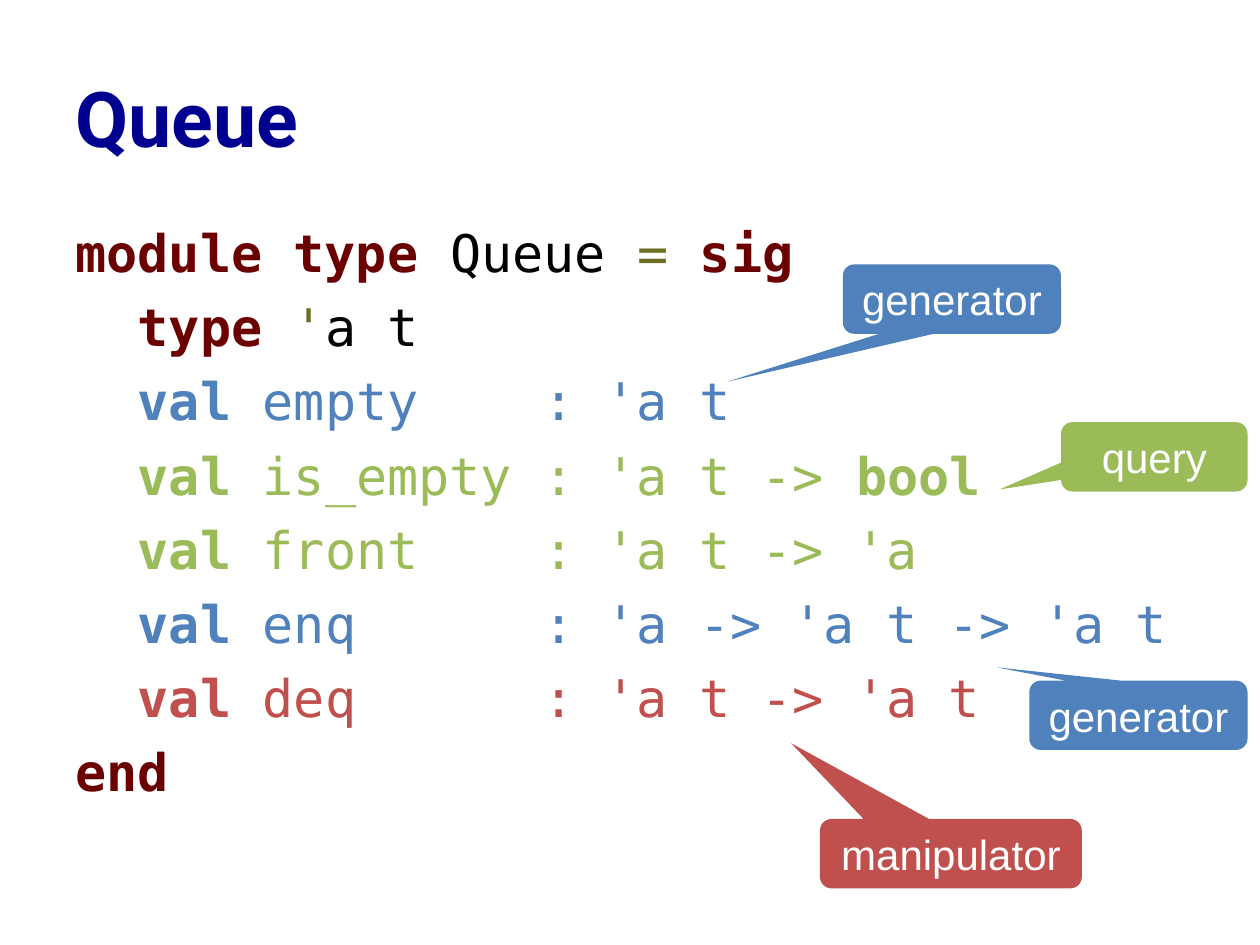
"""Build the Queue signature slide with its labelled callouts."""
from dataclasses import dataclass
from typing import NamedTuple

from pptx import Presentation
from pptx import util as u
from pptx.dml.color import RGBColor
from pptx.enum import shapes, text


@dataclass(frozen=True)
class Theme:
    navy: str = "000090"
    keyword: str = "6B0001"
    symbol: str = "6D6F24"
    black: str = "000000"
    white: str = "FFFFFF"
    generator: str = "4F81BD"
    query: str = "9BBB59"
    manipulator: str = "C0504D"
    title_font: str = "Roboto"
    code_font: str = "DejaVu Sans Mono"
    label_font: str = "Arial"
    title_size: float = 44
    code_size: float = 29.6
    label_size: float = 24
    code_gap: float = 6.9


class Run(NamedTuple):
    text: str
    color: str
    bold: bool = False


class Callout(NamedTuple):
    label: str
    color: str
    left: float
    top: float
    width: float
    tip_x: float
    tip_y: float


T = Theme()
CALLOUT_HEIGHT = 1.4


def value(name: str, signature: str, color: str, result: str = "") -> list[Run]:
    """Return the runs of one val declaration."""
    runs = [Run("  val ", color, True), Run(f"{name:<8} : {signature}", color)]
    return runs + [Run(result, color, True)] if result else runs


CODE = [
    [Run("module type", T.keyword, True), Run(" Queue ", T.black),
     Run("= ", T.symbol), Run("sig", T.keyword, True)],
    [Run("  type ", T.keyword, True), Run("'", T.symbol), Run("a t", T.black)],
    value("empty", "'a t", T.generator),
    value("is_empty", "'a t -> ", T.query, "bool"),
    value("front", "'a t -> 'a", T.query),
    value("enq", "'a -> 'a t -> 'a t", T.generator),
    value("deq", "'a t -> 'a t", T.manipulator),
    [Run("end", T.keyword, True)],
]

CALLOUTS = [
    Callout("generator", T.generator, 16.99, 5.33, 4.4, -1.03, 1.19),
    Callout("manipulator", T.manipulator, 16.53, 16.51, 5.28, -0.61, -1.59),
    Callout("query", T.query, 21.39, 8.51, 3.76, -0.83, 0.47),
    Callout("generator", T.generator, 20.75, 13.72, 4.4, -0.65, -0.69),
]


def add_run(p, run: Run, font: str, size: float) -> None:
    """Append one formatted run to a paragraph."""
    r = p.add_run()
    r.text = run.text
    r.font.name = font
    r.font.size = u.Pt(size)
    r.font.bold = run.bold
    r.font.color.rgb = RGBColor.from_string(run.color)


def add_title(s) -> None:
    """Place and fill the title placeholder."""
    sp = s.shapes.title
    sp.left, sp.top, sp.width, sp.height = map(u.Cm, (1.27, 0.76, 22.86, 3.18))
    tf = sp.text_frame
    tf.vertical_anchor = text.MSO_ANCHOR.MIDDLE
    p = tf.paragraphs[0]
    p.alignment = text.PP_ALIGN.LEFT
    add_run(p, Run("Queue", T.navy, True), T.title_font, T.title_size)


def add_code(s) -> None:
    """Add the module signature, one paragraph per line."""
    sp = s.shapes.add_textbox(*map(u.Cm, (1.27, 4.45, 23.65, 12.57)))
    tf = sp.text_frame
    tf.word_wrap = True
    tf.margin_top = 0
    for i, line in enumerate(CODE):
        p = tf.add_paragraph() if i else tf.paragraphs[0]
        p.space_before = u.Pt(T.code_gap)
        for run in line:
            add_run(p, run, T.code_font, T.code_size)


def add_callout(s, c: Callout) -> None:
    """Add one rounded callout with a centred label."""
    sp = s.shapes.add_shape(
        shapes.MSO_SHAPE.ROUNDED_RECTANGULAR_CALLOUT,
        *map(u.Cm, (c.left, c.top, c.width, CALLOUT_HEIGHT)))
    sp.adjustments[0], sp.adjustments[1] = c.tip_x, c.tip_y
    sp.shadow.inherit = False
    sp.fill.solid()
    sp.fill.fore_color.rgb = RGBColor.from_string(c.color)
    sp.line.fill.background()
    tf = sp.text_frame
    tf.word_wrap = False
    tf.vertical_anchor = text.MSO_ANCHOR.MIDDLE
    p = tf.paragraphs[0]
    p.alignment = text.PP_ALIGN.CENTER
    add_run(p, Run(c.label, T.white), T.label_font, T.label_size)


def main() -> None:
    """Build and save the slide."""
    prs = Presentation()
    prs.slide_width, prs.slide_height = u.Cm(25.4), u.Cm(19.05)
    s = prs.slides.add_slide(prs.slide_layouts.get_by_name("Title Only"))
    add_title(s)
    add_code(s)
    for callout in CALLOUTS:
        add_callout(s, callout)
    prs.save("out.pptx")


main()
